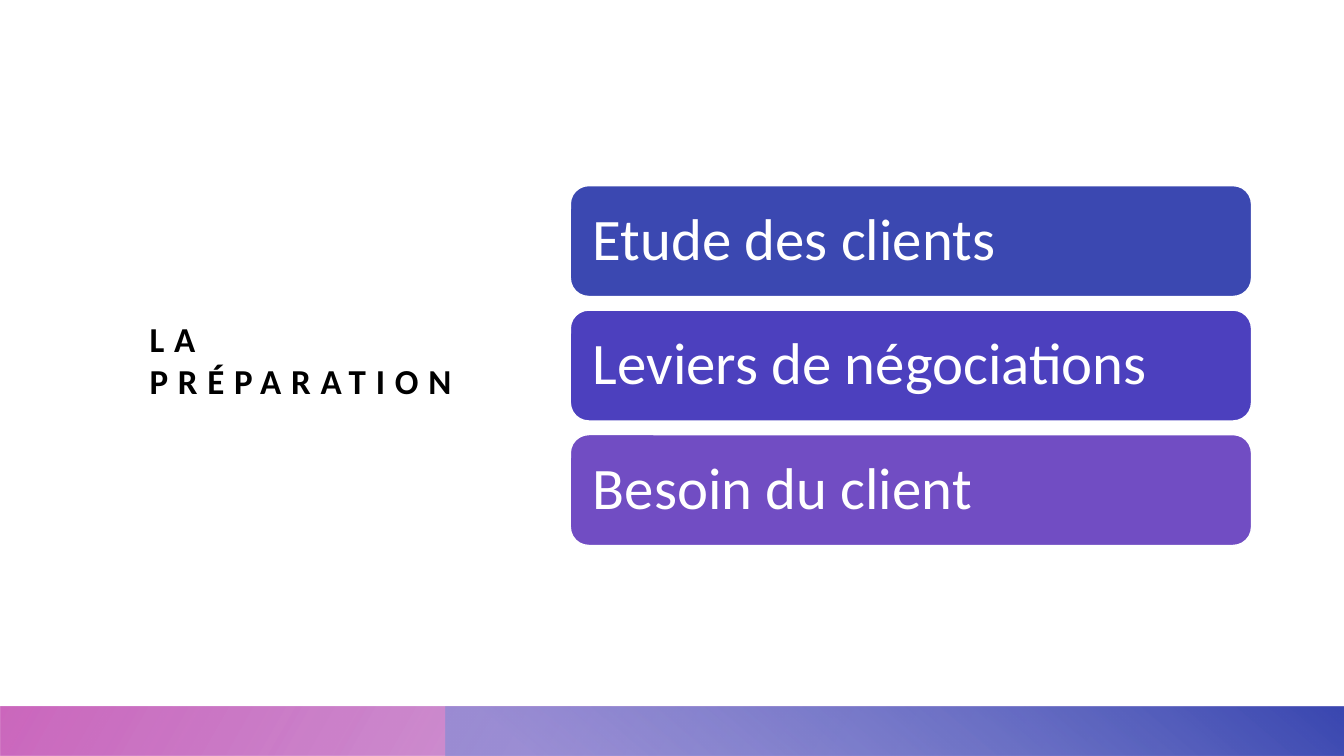
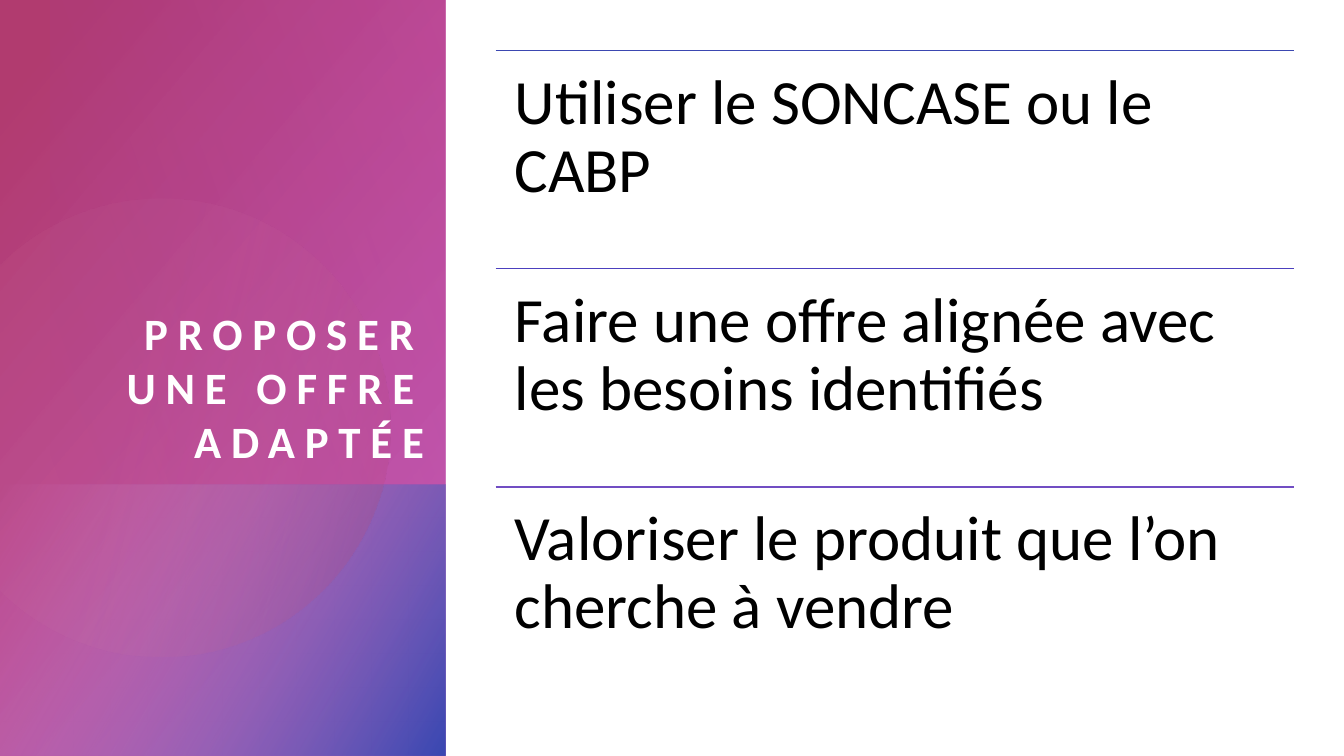
import math
from dataclasses import dataclass
from typing import NamedTuple

from lxml import etree
from pptx import Presentation
from pptx import util as u
from pptx.dml.color import RGBColor
from pptx.enum import shapes, text
from pptx.oxml import ns, parse_xml
from pptx.shapes.autoshape import Shape
from pptx.slide import Slide

COLUMNS, ROWS = 160, 90
CELL = u.Inches(1 / 12)


def cells(count: float) -> u.Emu:
    return u.Emu(round(count * CELL))


class Box(NamedTuple):
    col: float
    row: float
    cols: float
    rows: float

    def frame(self) -> tuple[u.Emu, ...]:
        return tuple(cells(count) for count in self)

    def turned(self) -> "Box":
        col = self.col + (self.cols - self.rows) / 2
        row = self.row + (self.rows - self.cols) / 2
        return Box(col, row, self.rows, self.cols)

    def below(self, pitch: float, index: int) -> "Box":
        return self._replace(row=self.row + pitch * index)


class Stop(NamedTuple):
    position: int
    color: str
    opacity: int = 100


@dataclass(frozen=True)
class Theme:
    font: str = "Calibri"
    ink: str = "000000"
    paper: str = "FFFFFF"
    blue: str = "3B48B1"
    indigo: str = "4C40BE"
    violet: str = "714DC3"
    periwinkle: str = "848DD6"
    purple: str = "913BB1"
    magenta: str = "C34DB2"
    raspberry: str = "B13B6F"
    orchid: str = "DB94D1"
    rose: str = "D684A8"
    title_size: int = 25
    panel_title_size: int = 32
    card_size: int = 42
    point_size: int = 45
    title_tracking: int = 7
    line_width: float = 1

    @property
    def accents(self) -> tuple[str, ...]:
        return self.blue, self.indigo, self.violet


@dataclass(frozen=True)
class Band:
    box: Box
    rotation: int
    angle: int
    stops: tuple[Stop, ...]


@dataclass(frozen=True)
class Title:
    words: str
    box: Box
    size: int
    color: str
    align: text.PP_ALIGN
    anchor: text.MSO_ANCHOR


THEME = Theme()
PANEL_COLS = 53
SPLIT_ROW = 57.7
FOOTER_ROW = 84.1
FOOTER_ROWS = ROWS - FOOTER_ROW

FOOTER_BANDS = (
    Band(Box(0, FOOTER_ROW, COLUMNS, FOOTER_ROWS), 180, 150,
         (Stop(14, THEME.purple, 28), Stop(100, THEME.magenta, 85))),
    Band(Box(PANEL_COLS, FOOTER_ROW, COLUMNS - PANEL_COLS, FOOTER_ROWS), 0, 230,
         (Stop(9, THEME.periwinkle, 68), Stop(99, THEME.blue))),
)
PANEL_BANDS = (
    Band(Box(0, 0, PANEL_COLS, ROWS), 270, 50,
         (Stop(8, THEME.raspberry), Stop(100, THEME.magenta, 89))),
    Band(Box(0, SPLIT_ROW, PANEL_COLS, ROWS - SPLIT_ROW), 270, 60,
         (Stop(0, THEME.orchid, 0), Stop(99, THEME.blue))),
)
PANEL_VEIL = Band(Box(6, 0, PANEL_COLS - 6, SPLIT_ROW), 90, 110,
                  (Stop(0, THEME.magenta, 29), Stop(100, THEME.purple, 0)))
DISC_STOPS = (Stop(36, THEME.rose, 6), Stop(100, THEME.raspberry, 26))

PREPARATION = Title("LA PRÉPARATION", Box(17.8, 13.4, 43.7, 58.7), THEME.title_size,
                    THEME.ink, text.PP_ALIGN.LEFT, text.MSO_ANCHOR.MIDDLE)
OFFER = Title("PROPOSER UNE OFFRE ADAPTÉE", Box(6, 11.4, 44.5, 44.2),
              THEME.panel_title_size, THEME.paper, text.PP_ALIGN.RIGHT,
              text.MSO_ANCHOR.BOTTOM)
STEPS = ("Etude des clients", "Leviers de négociations", "Besoin du client")
ADVICE = (
    "Utiliser le SONCASE ou le CABP",
    "Faire une offre alignée avec les besoins identifiés",
    "Valoriser le produit que l’on cherche à vendre",
)


def rgb(color: str) -> RGBColor:
    return RGBColor.from_string(color)


def paint_gradient(shape: Shape, stops: tuple[Stop, ...], angle: int) -> None:
    shape.shadow.inherit = False
    shape.line.fill.background()
    shape.fill.background()
    marks = "".join(
        f'<a:gs pos="{stop.position * 1000}"><a:srgbClr val="{stop.color}">'
        f'<a:alpha val="{stop.opacity * 1000}"/></a:srgbClr></a:gs>'
        for stop in stops
    )
    gradient = parse_xml(
        f'<a:gradFill {ns.nsdecls("a")} rotWithShape="1"><a:gsLst>{marks}</a:gsLst>'
        f'<a:lin ang="{angle * 60000}" scaled="0"/></a:gradFill>'
    )
    properties = shape.element.spPr
    properties.replace(properties.find(ns.qn("a:noFill")), gradient)


def add_band(slide: Slide, band: Band) -> None:
    box = band.box.turned() if band.rotation % 180 else band.box
    shape = slide.shapes.add_shape(shapes.MSO_SHAPE.RECTANGLE, *box.frame())
    shape.rotation = band.rotation
    shape.element.spPr.find(ns.qn("a:xfrm")).set("flipH", "1")
    paint_gradient(shape, band.stops, band.angle)


def add_clipped_disc(slide: Slide, col: float, row: float, radius: float) -> None:
    reach = math.pi - math.acos(col / radius)
    count = 120
    angles = [reach * (2 * step / count - 1) for step in range(count + 1)]
    outline = [
        (cells(col + radius * math.cos(angle)), cells(row + radius * math.sin(angle)))
        for angle in angles
    ]
    builder = slide.shapes.build_freeform(*outline[0])
    builder.add_line_segments(outline[1:], close=True)
    paint_gradient(builder.convert_to_shape(), DISC_STOPS, 14)


def write(shape: Shape, words: str, size: int, color: str, inset: float,
          anchor: text.MSO_ANCHOR, align: text.PP_ALIGN = text.PP_ALIGN.LEFT,
          spacing: float = 0.9, tracking: int = 0, bold: bool = False) -> None:
    frame = shape.text_frame
    frame.word_wrap = True
    frame.auto_size = text.MSO_AUTO_SIZE.NONE
    frame.vertical_anchor = anchor
    frame.margin_left = frame.margin_right = u.Inches(inset)
    frame.margin_top = frame.margin_bottom = u.Inches(inset)
    paragraph = frame.paragraphs[0]
    paragraph.alignment = align
    paragraph.line_spacing = spacing
    run = paragraph.add_run()
    run.text = words
    run.font.name = THEME.font
    run.font.size = u.Pt(size)
    run.font.bold = bold
    run.font.color.rgb = rgb(color)
    if tracking:
        run.font._element.set("spc", str(tracking * 100))


def add_title(slide: Slide, title: Title) -> None:
    heading = slide.shapes.title
    heading.left, heading.top, heading.width, heading.height = title.box.frame()
    write(heading, title.words, title.size, title.color, 0, title.anchor,
          title.align, 1.0, THEME.title_tracking, True)
    heading.element.getparent().append(heading.element)


def add_card(slide: Slide, box: Box, words: str, color: str) -> None:
    card = slide.shapes.add_shape(shapes.MSO_SHAPE.ROUNDED_RECTANGLE, *box.frame())
    card.shadow.inherit = False
    card.fill.solid()
    card.fill.fore_color.rgb = rgb(color)
    card.line.color.rgb = rgb(THEME.paper)
    card.line.width = u.Pt(THEME.line_width)
    write(card, words, THEME.card_size, THEME.paper, 0.17, text.MSO_ANCHOR.MIDDLE)


def add_ruled_point(slide: Slide, box: Box, words: str, color: str) -> None:
    left, top, width, height = box.frame()
    rule = slide.shapes.add_connector(
        shapes.MSO_CONNECTOR.STRAIGHT, left, top, left + width, top)
    rule.line.color.rgb = rgb(color)
    rule.line.width = u.Pt(THEME.line_width)
    etree.SubElement(rule.element.spPr, ns.qn("a:effectLst"))
    point = slide.shapes.add_textbox(left, top, width, height)
    write(point, words, THEME.point_size, THEME.ink, 0.19, text.MSO_ANCHOR.TOP)


def build_preparation(slide: Slide) -> None:
    for band in FOOTER_BANDS:
        add_band(slide, band)
    add_title(slide, PREPARATION)
    first = Box(67.9, 22.1, 81.1, 13.2)
    for index, (step, color) in enumerate(zip(STEPS, THEME.accents)):
        add_card(slide, first.below(14.82, index), step, color)


def build_offer(slide: Slide) -> None:
    for band in PANEL_BANDS:
        add_band(slide, band)
    add_clipped_disc(slide, 19.2, 50.9, 27.3)
    add_band(slide, PANEL_VEIL)
    add_title(slide, OFFER)
    first = Box(59, 6, 95, 26)
    for index, (advice, color) in enumerate(zip(ADVICE, THEME.accents)):
        add_ruled_point(slide, first.below(first.rows, index), advice, color)


def main() -> None:
    deck = Presentation()
    deck.slide_width, deck.slide_height = cells(COLUMNS), cells(ROWS)
    title_only = deck.slide_layouts[5]
    for build in (build_preparation, build_offer):
        build(deck.slides.add_slide(title_only))
    deck.save("out.pptx")


if __name__ == "__main__":
    main()
